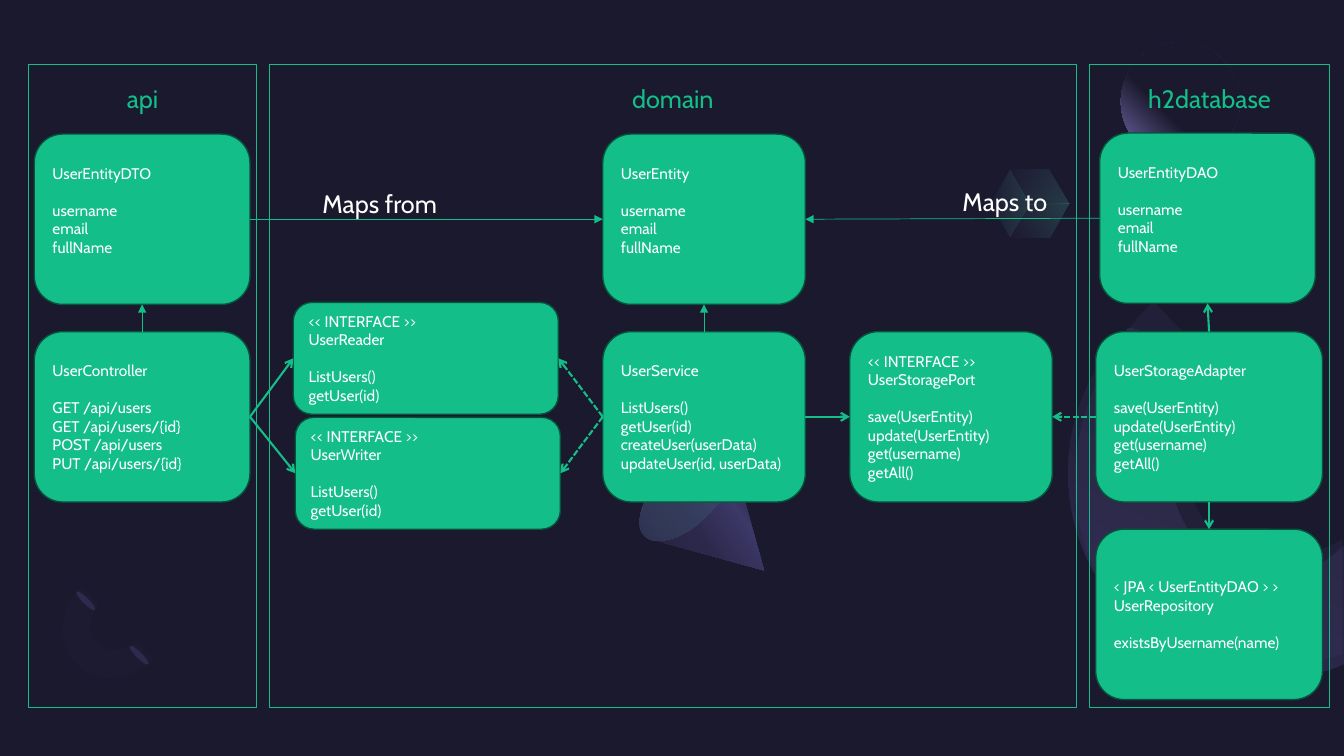
from math import cos, radians, sin

from pptx import Presentation
from pptx.dml.color import RGBColor
from pptx.enum.dml import MSO_LINE
from pptx.enum.shapes import MSO_CONNECTOR, MSO_SHAPE
from pptx.enum.text import MSO_ANCHOR, PP_ALIGN
from pptx.oxml import parse_xml
from pptx.oxml.ns import nsdecls, qn
from pptx.util import Pt

PX = 9144
ELLIPSE, RECT, ROUNDED = MSO_SHAPE.OVAL, MSO_SHAPE.RECTANGLE, MSO_SHAPE.ROUNDED_RECTANGLE
STRAIGHT, DASHED = MSO_CONNECTOR.STRAIGHT, MSO_LINE.SQUARE_DOT
TOP, MIDDLE = MSO_ANCHOR.TOP, MSO_ANCHOR.MIDDLE
LEFT, CENTER = PP_ALIGN.LEFT, PP_ALIGN.CENTER
NORTH, WEST, SOUTH, EAST = range(4)
NIGHT, INDIGO, LILAC, MINT = "1B192E", "2C284A", "7771B2", "5BEFC1"
GREEN, DARK_GREEN, WHITE = "13BE89", "08533C", "FFFFFF"


def paint(fill, color):
    fill.solid()
    fill.fore_color.rgb = RGBColor.from_string(color)


def write(shape, text, size=11, color=WHITE, align=LEFT, anchor=MIDDLE, top=5, bottom=5):
    frame = shape.text_frame
    frame.word_wrap = True
    frame.vertical_anchor = anchor
    frame.margin_top, frame.margin_bottom = top * PX, bottom * PX
    for index, section in enumerate(text.split("\n\n")):
        paragraph = frame.add_paragraph() if index else frame.paragraphs[0]
        paragraph.alignment = align
        if index:
            paragraph.space_before = Pt(13.2)
        paragraph.text = section.replace("\n", "\v")
        for run in paragraph.runs:
            run.font.name = "Cabin"
            run.font.size = Pt(size)
            paint(run.font.fill, color)
        for line_break in shape.element.iter(qn("a:br")):
            if len(line_break) == 0:
                line_break.append(parse_xml(
                    f'<a:rPr {nsdecls("a")} sz="{size * 100}"><a:latin typeface="Cabin"/></a:rPr>'))


deck = Presentation()
deck.slide_width, deck.slide_height = 12192000, 750 * PX
slide = deck.slides.add_slide(deck.slide_layouts[6])
shapes = slide.shapes
paint(slide.background.fill, NIGHT)

orbit = [(76, 659), (56, 639, 58, 605, 81, 582), (99, 600), (87, 611, 86, 629, 96, 638),
         (106, 648, 123, 647, 135, 636), (152, 654), (130, 676, 95, 679, 76, 659)]
cube_top = [(1041, 168), (1002, 168), (1021, 203), (1061, 202)]
cube_left = [(1002, 236), (983, 202), (1002, 168), (1021, 203)]
cube_right = [(1061, 202), (1042, 236), (1002, 236), (1021, 203)]
ring = [(1119, 326), (1040, 405, 1040, 533, 1119, 613), (1174, 667, 1252, 684, 1321, 664),
        (1333, 659), (1333, 542), (1319, 554), (1279, 580, 1226, 576, 1191, 541),
        (1152, 501, 1152, 437, 1191, 398)]
ring_glow = [(1144, 299), (1051, 392, 1040, 531, 1119, 610), (1169, 660, 1242, 674, 1312, 655),
             (1332, 649), (1332, 535), (1330, 536), (1287, 561, 1235, 559, 1203, 526),
             (1164, 487, 1169, 417, 1215, 371)]
cone = [(758, 566), (646, 535), (645, 535), (643, 534, 641, 533, 640, 531),
        (628, 520, 637, 492, 661, 469), (684, 446, 712, 436, 723, 448),
        (724, 449, 726, 451, 726, 453), (727, 454)]
plain = [(0, INDIGO, 100)]
cube_stops = [(20, INDIGO, 20), (100, MINT, 20)]
cone_stops = [(30, INDIGO, 100), (40, "3C3867", 100), (60, INDIGO, 100), (100, NIGHT, 100)]
ornaments = [
    (135, 637, 6, 26, 135, None, plain, 0),
    (82, 583, 6, 26, 135, None, plain, 0),
    (45, 609, 101, 58, 45, orbit, [(0, LILAC, 3)], 0),
    (998, 166, 68, 40, 30, cube_top, cube_stops, 0),
    (985, 173, 33, 59, 30, cube_left, cube_stops, 330),
    (1014, 190, 34, 59, 30, cube_right, cube_stops, 300),
    (1112, 42, 118, 118, 0, None, [(60, NIGHT, 100), (100, LILAC, 100)], None),
    (991, 433, 387, 203, 45, ring, [(31, INDIGO, 100), (97, NIGHT, 100)], 250),
    (1004, 399, 380, 237, 45, ring_glow, [(0, LILAC, 8)], 0),
    (1143, 311, 23, 102, 135, None, plain, 0),
    (650, 448, 118, 138, 135, cone, cone_stops, 10),
    (652, 431, 59, 118, 225, None, [(0, "454075", 33), (100, MINT, 0)], 90),
]
for x, y, width, height, rotation, outline, stops, angle in ornaments:
    if outline is None:
        ornament = shapes.add_shape(ELLIPSE, x * PX, y * PX, width * PX, height * PX)
    else:
        builder = shapes.build_freeform(*outline[0], scale=PX)
        builder.add_line_segments([step[-2:] for step in outline[1:]], close=True)
        ornament = builder.convert_to_shape()
        ornament.left, ornament.top = x * PX, y * PX
        ornament.width, ornament.height = width * PX, height * PX
        turn = radians(rotation)
        steps_xml = ""
        for index, step in enumerate(outline):
            points_xml = ""
            for px, py in zip(step[::2], step[1::2]):
                dx, dy = px - x - width / 2, py - y - height / 2
                local_x = round((width / 2 + dx * cos(turn) + dy * sin(turn)) * PX)
                local_y = round((height / 2 - dx * sin(turn) + dy * cos(turn)) * PX)
                points_xml += f'<a:pt x="{local_x}" y="{local_y}"/>'
            tag = "moveTo" if index == 0 else "lnTo" if len(step) == 2 else "cubicBezTo"
            steps_xml += f"<a:{tag}>{points_xml}</a:{tag}>"
        contours = ornament.element.spPr.find(qn("a:custGeom")).find(qn("a:pathLst"))
        contours.replace(contours[0], parse_xml(
            f'<a:path {nsdecls("a")} w="{width * PX}" h="{height * PX}">'
            f'{steps_xml}<a:close/></a:path>'))
    ornament.rotation = rotation
    ornament.shadow.inherit = False
    ornament.line.fill.background()
    properties = ornament.element.spPr
    if len(stops) == 1:
        paint(ornament.fill, stops[0][1])
        if stops[0][2] < 100:
            properties.find(qn("a:solidFill"))[0].append(
                parse_xml(f'<a:alpha {nsdecls("a")} val="{stops[0][2] * 1000}"/>'))
        continue
    ornament.fill.background()
    stops_xml = "".join(
        f'<a:gs pos="{position * 1000}"><a:srgbClr val="{color}">'
        f'<a:alpha val="{opacity * 1000}"/></a:srgbClr></a:gs>'
        for position, color, opacity in stops)
    if angle is None:
        direction = '<a:path path="circle"><a:fillToRect l="100000" b="100000"/></a:path>'
    else:
        direction = f'<a:lin ang="{angle * 60000}" scaled="0"/>'
    properties.replace(properties.find(qn("a:noFill")), parse_xml(
        f'<a:gradFill {nsdecls("a")} rotWithShape="1">'
        f'<a:gsLst>{stops_xml}</a:gsLst>{direction}</a:gradFill>'))

for module, x, width in [("h2database", 1081, 238), ("domain", 267, 801), ("api", 28, 227)]:
    panel = shapes.add_shape(RECT, x * PX, 64 * PX, width * PX, 638 * PX)
    panel.shadow.inherit = False
    panel.fill.background()
    paint(panel.line.fill, GREEN)
    panel.line.width = Pt(0.75)
    write(panel, module, size=18, color=GREEN, align=CENTER, anchor=TOP, top=19)

entity_fields = "\n\nusername\nemail\nfullName"
interface_methods = "\n\nListUsers()\ngetUser(id)"
storage_methods = "\n\nsave(UserEntity)\nupdate(UserEntity)\nget(username)\ngetAll()"
classes = [
    ("controller", 34, 329, 214, 169,
     "UserController\n\nGET /api/users\nGET /api/users/{id}\nPOST /api/users\nPUT /api/users/{id}"),
    ("service", 598, 329, 201, 169,
     "UserService\n\nListUsers()\ngetUser(id)\ncreateUser(userData)\nupdateUser(id, userData)"),
    ("repository", 1087, 525, 225, 169,
     "< JPA < UserEntityDAO > >\nUserRepository\n\nexistsByUsername(name)"),
    ("dao", 1091, 132, 214, 169, "UserEntityDAO" + entity_fields),
    ("entity", 598, 133, 201, 169, "UserEntity" + entity_fields),
    ("reader", 291, 300, 263, 111, "<< INTERFACE >>\nUserReader" + interface_methods),
    ("port", 843, 329, 201, 169, "<< INTERFACE >>\nUserStoragePort" + storage_methods),
    ("adapter", 1087, 329, 225, 169, "UserStorageAdapter" + storage_methods),
    ("dto", 34, 133, 214, 169, "UserEntityDTO" + entity_fields),
    ("writer", 293, 414, 263, 111, "<< INTERFACE >>\nUserWriter" + interface_methods),
]
boxes = {}
for key, x, y, width, height, text in classes:
    box = shapes.add_shape(ROUNDED, x * PX, y * PX, width * PX, height * PX)
    box.shadow.inherit = False
    paint(box.fill, GREEN)
    paint(box.line.fill, DARK_GREEN)
    box.line.width = Pt(1)
    write(box, text, bottom=23 if text.endswith(entity_fields) else 5)
    boxes[key] = box

relations = [
    ("dao", WEST, "entity", EAST, "maps"),
    ("service", WEST, "reader", EAST, "implements"),
    ("adapter", WEST, "port", EAST, "implements"),
    ("controller", EAST, "reader", WEST, "uses"),
    ("service", EAST, "port", WEST, "uses"),
    ("controller", NORTH, "dto", SOUTH, "maps"),
    ("service", NORTH, "entity", SOUTH, "maps"),
    ("dto", EAST, "entity", WEST, "maps"),
    ("controller", EAST, "writer", WEST, "uses"),
    ("service", WEST, "writer", EAST, "implements"),
    ("adapter", SOUTH, "repository", NORTH, "uses"),
    ("adapter", NORTH, "dao", SOUTH, "uses"),
]
for source, source_side, target, target_side, relation in relations:
    arrow = shapes.add_connector(STRAIGHT, 0, 0, 0, 0)
    arrow.begin_connect(boxes[source], source_side)
    arrow.end_connect(boxes[target], target_side)
    paint(arrow.line.fill, GREEN)
    arrow.line.width = Pt(0.5 if relation == "maps" else 1.5)
    if relation == "implements":
        arrow.line.dash_style = DASHED
    head = "triangle" if relation == "maps" else "arrow"
    properties = arrow.element.spPr
    properties.find(qn("a:ln")).append(parse_xml(f'<a:tailEnd {nsdecls("a")} type="{head}"/>'))
    properties.append(parse_xml(f'<a:effectLst {nsdecls("a")}/>'))

for caption, x, y in [("Maps to", 945, 180), ("Maps from", 310, 182)]:
    label = shapes.add_textbox(x * PX, y * PX, 142 * PX, 40 * PX)
    write(label, caption, size=18, anchor=TOP)

deck.save("out.pptx")
